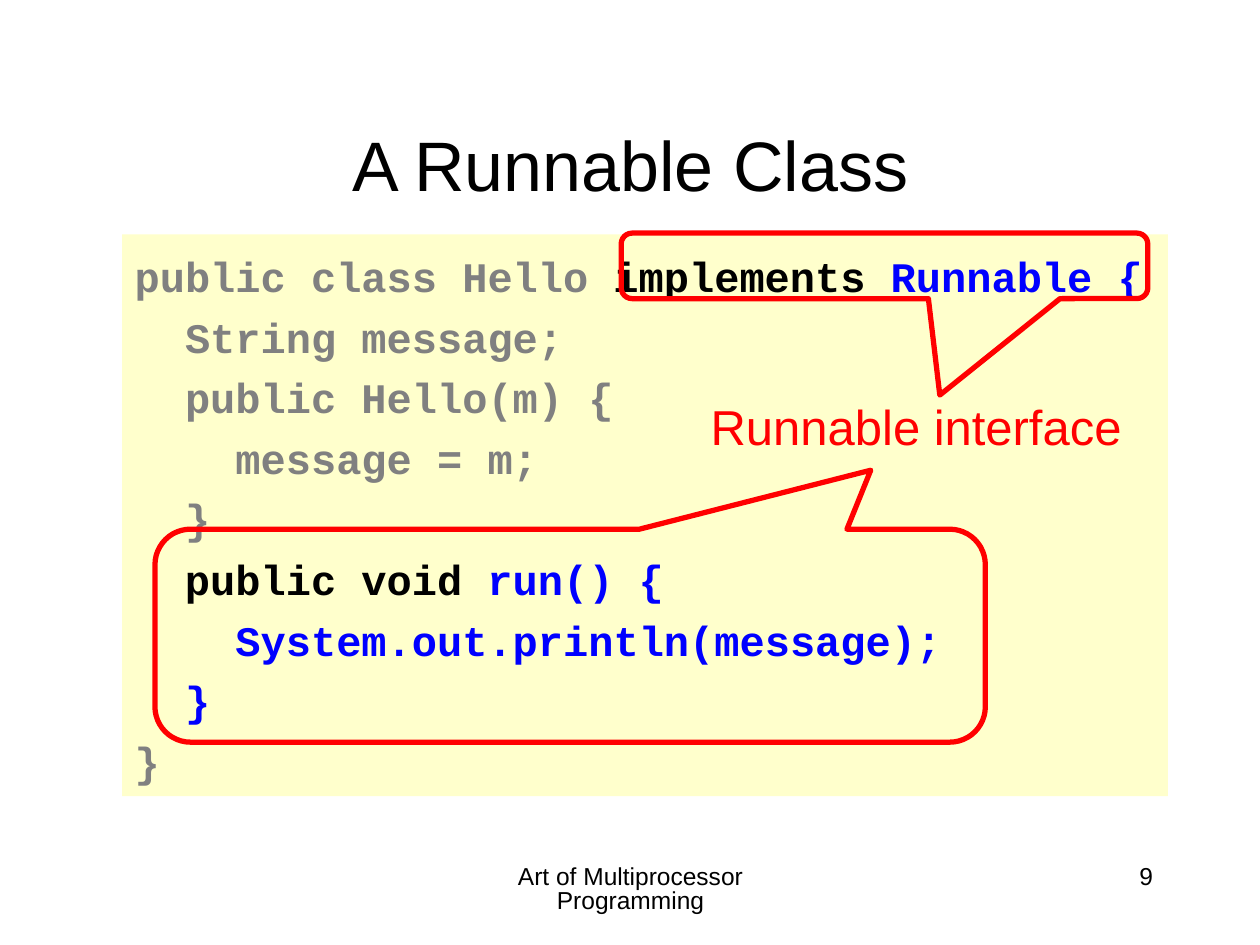
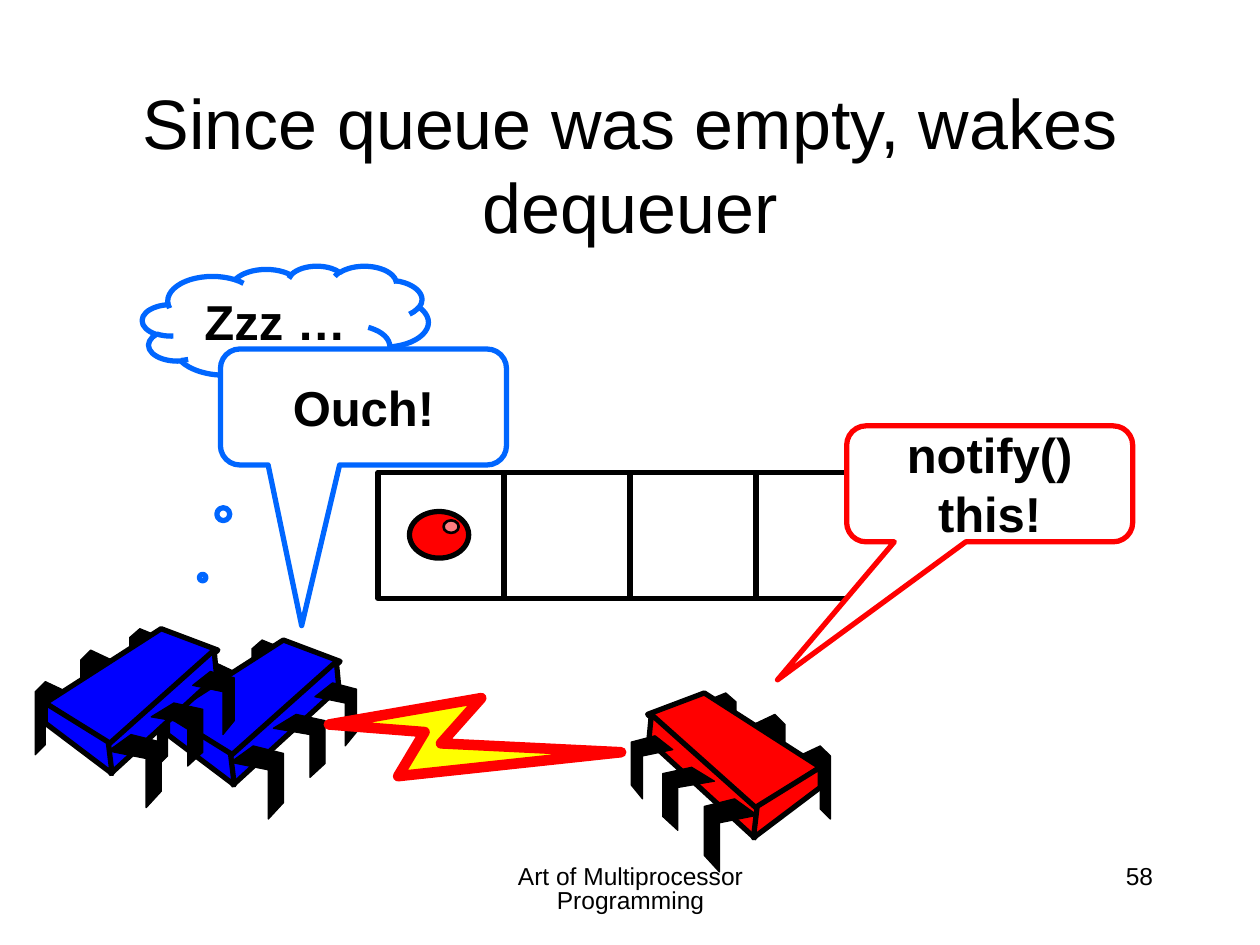
from dataclasses import dataclass

from lxml.etree import SubElement
from pptx import Presentation
from pptx.dml.color import RGBColor
from pptx.enum.shapes import MSO_CONNECTOR, MSO_SHAPE
from pptx.enum.text import MSO_ANCHOR, MSO_AUTO_SIZE, PP_ALIGN
from pptx.oxml.ns import qn
from pptx.util import Pt

PX = 9144  # 100 px to the inch


@dataclass(frozen=True)
class Theme:
    black: str = "000000"
    white: str = "FFFFFF"
    gray: str = "808080"
    red: str = "FF0000"
    pink: str = "FF7C80"
    yellow: str = "FFFF00"
    cream: str = "FFFFCC"
    blue: str = "0000FF"
    sky: str = "0066FF"
    font: str = "Arial"
    code_font: str = "Courier New"
    title_size: int = 40
    label_size: int = 28
    code_size: int = 24
    footer_size: int = 14
    line: int = 3


T = Theme()


def paint(sh, fill=None, line=None, weight=T.line):
    sh.shadow.inherit = False
    if fill:
        sh.fill.solid()
        sh.fill.fore_color.rgb = RGBColor.from_string(fill)
    else:
        sh.fill.background()
    if line:
        sh.line.color.rgb = RGBColor.from_string(line)
        sh.line.width = Pt(weight)
    else:
        sh.line.fill.background()


def write(sh, text, size, color=T.black, bold=False, align=PP_ALIGN.CENTER):
    tf = sh.text_frame
    tf.word_wrap = True
    tf.auto_size = MSO_AUTO_SIZE.NONE
    tf.text = text
    p = tf.paragraphs[0]
    p.alignment = align
    f = p.runs[0].font
    f.name, f.size, f.bold = T.font, Pt(size), bold
    f.color.rgb = RGBColor.from_string(color)
    return p


prs = Presentation()
prs.slide_width, prs.slide_height = 1000 * PX, 750 * PX

# Titles and footers
slides = []
for title, number in (("A Runnable Class", "9"),
                      ("Since queue was empty, wakes dequeuer", "58")):
    s = prs.slides.add_slide(prs.slide_layouts[5])
    sh = s.shapes.title
    sh.left, sh.top, sh.width, sh.height = 75 * PX, 67 * PX, 850 * PX, 125 * PX
    write(sh, title, T.title_size)
    sh.text_frame.vertical_anchor = MSO_ANCHOR.MIDDLE
    for x, w, text, align in (
            (342, 317, "Art of Multiprocessor Programming", PP_ALIGN.CENTER),
            (717, 208, number, PP_ALIGN.RIGHT)):
        sh = s.shapes.add_textbox(x * PX, 683 * PX, w * PX, 50 * PX)
        p = write(sh, text, T.footer_size, align=align)
        p.line_spacing = 0.81
    slides.append(s)
code_slide, queue_slide = slides

# Code panel
CODE = (
    (("public class Hello ", T.gray), ("implements ", T.black), ("Runnable {", T.blue)),
    (("  String message;", T.gray),),
    (("  public Hello(m) {", T.gray),),
    (("    message = m;", T.gray),),
    (("  }", T.gray),),
    (("  ", T.blue), ("public void", T.black), (" run() {", T.blue)),
    (("    System.out.println(message);", T.blue),),
    (("  }", T.blue),),
    (("}", T.gray),),
)
panel = code_slide.shapes.add_shape(
    MSO_SHAPE.RECTANGLE, 97 * PX, 186 * PX, 830 * PX, 446 * PX)
paint(panel, T.cream)
tf = panel.text_frame
tf.word_wrap = True
tf.vertical_anchor = MSO_ANCHOR.TOP
tf.margin_top = 13 * PX
for i, line in enumerate(CODE):
    p = tf.add_paragraph() if i else tf.paragraphs[0]
    p.alignment = PP_ALIGN.LEFT
    if i:
        p.space_before = Pt(5.8)
    pPr = p._p.get_or_add_pPr()
    pPr.set("marL", str(25 * PX))
    pPr.set("indent", str(-25 * PX))
    for text, color in line:
        r = p.add_run()
        r.text = text
        r.font.name, r.font.size, r.font.bold = T.code_font, Pt(T.code_size), True
        r.font.color.rgb = RGBColor.from_string(color)

label = code_slide.shapes.add_textbox(478 * PX, 310 * PX, 498 * PX, 57 * PX)
write(label, "Runnable interface", T.label_size, T.red)
for x, y, w, h, tail in ((493, 185, 418, 52, (0.105, 1.972)),
                         (123, 420, 659, 169, (0.362, -0.777))):
    sh = code_slide.shapes.add_shape(
        MSO_SHAPE.ROUNDED_RECTANGULAR_CALLOUT, x * PX, y * PX, w * PX, h * PX)
    sh.adjustments[0], sh.adjustments[1] = tail
    paint(sh, line=T.red)

# Queue: three closed cells and an open end
shapes = queue_slide.shapes
for i in range(3):
    cell = shapes.add_shape(
        MSO_SHAPE.RECTANGLE, (300 + 100 * i) * PX, 375 * PX, 100 * PX, 100 * PX)
    paint(cell, line=T.black)
for y in (375, 475):
    edge = shapes.add_connector(
        MSO_CONNECTOR.STRAIGHT, 592 * PX, y * PX, 692 * PX, y * PX)
    edge.line.color.rgb = RGBColor.from_string(T.black)
    edge.line.width = Pt(T.line)
    SubElement(edge._element.spPr, qn("a:effectLst"))

# Threads: six-legged boxes, drawn back to front; the red one is mirrored
BACK_LEG = ((25, 8), (8, 0), (0, 8), (0, 58), (8, 50), (8, 17), (25, 25))
BACK_LEGS = [[(x + dx, y + dy) for x, y in BACK_LEG] for dx, dy in ((0, 42), (36, 17))]
BACK_LEGS.append([(100, 7), (83, 0), (75, 7), (75, 50), (83, 43), (83, 15), (100, 22)])
BODY = (
    ((100, 0), (8, 59), (60, 93), (145, 17)),
    ((142, 17), (58, 92), (60, 115), (144, 38)),
    ((8, 59), (8, 75), (61, 115), (58, 90)),
)
FRONT_LEGS = (
    ((76, 84), (58, 97), (88, 103), (88, 142), (100, 129), (100, 90)),
    ((110, 59), (92, 70), (121, 75), (121, 109), (133, 98), (133, 64)),
    ((139, 34), (125, 45), (149, 50), (149, 84), (158, 73), (158, 39)),
)
THREAD = ([(leg, False) for leg in BACK_LEGS] + [(face, True) for face in BODY]
          + [(leg, False) for leg in FRONT_LEGS])
BOLT = ((261, 575), (382, 554), (350, 590), (493, 597), (316, 616), (337, 581))


def draw_thread(x0, y0, color, flip=1):
    group = shapes.add_group_shape()
    for outline, is_body in THREAD:
        points = [(x0 + flip * x, y0 + y) for x, y in outline]
        fb = group.shapes.build_freeform(*points[0], scale=PX)
        fb.add_line_segments(points[1:], close=True)
        paint(fb.convert_to_shape(), color if is_body else T.black, T.black,
              T.line if is_body else 0.75)


draw_thread(125, 508, T.blue)
draw_thread(28, 499, T.blue)

# Speech, with the bolt, the item and the waking thread in between
SPEECH = (
    (MSO_SHAPE.CLOUD_CALLOUT, 113, 211, "Zzz …", (-0.289, 2.189), None, T.sky),
    (MSO_SHAPE.ROUNDED_RECTANGULAR_CALLOUT, 175, 277, "Ouch!", (-0.216, 1.886),
     T.white, T.sky),
    (MSO_SHAPE.ROUNDED_RECTANGULAR_CALLOUT, 672, 338, "notify() this!",
     (-0.742, 1.691), T.white, T.red),
)
for kind, x, y, text, tail, fill, color in SPEECH:
    if color == T.red:
        fb = shapes.build_freeform(*BOLT[0], scale=PX)
        fb.add_line_segments(BOLT[1:], close=True)
        paint(fb.convert_to_shape(), T.yellow, T.red, 6)
        item = shapes.add_group_shape()
        for ix, iy, w, h, shade, weight in ((325, 406, 47, 37, T.red, T.line),
                                            (352, 413, 12, 10, T.pink, 1.5)):
            sh = item.shapes.add_shape(MSO_SHAPE.OVAL, ix * PX, iy * PX, w * PX, h * PX)
            paint(sh, shade, T.black, weight)
        draw_thread(659, 550, T.red, flip=-1)
    sh = shapes.add_shape(kind, x * PX, y * PX, 227 * PX, 92 * PX)
    sh.adjustments[0], sh.adjustments[1] = tail
    paint(sh, fill, color)
    write(sh, text, T.label_size, bold=True)
    sh.text_frame.vertical_anchor = MSO_ANCHOR.MIDDLE

prs.save("out.pptx")
